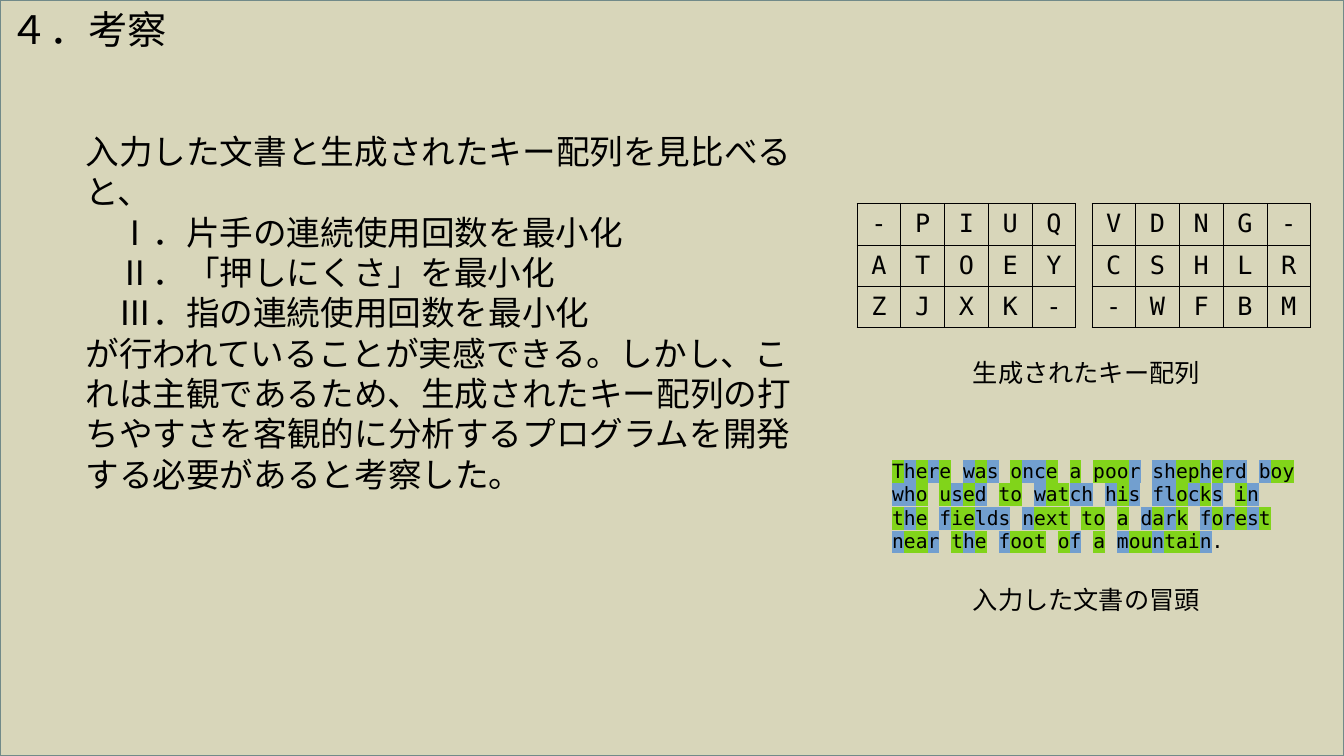
from itertools import groupby

from lxml import etree
from pptx import Presentation
from pptx.dml.color import RGBColor
from pptx.enum.shapes import MSO_SHAPE
from pptx.enum.text import MSO_ANCHOR, PP_ALIGN
from pptx.oxml.ns import qn
from pptx.util import Inches, Pt

RECTANGLE = MSO_SHAPE.RECTANGLE
TOP, MIDDLE = MSO_ANCHOR.TOP, MSO_ANCHOR.MIDDLE
LEFT, CENTER = PP_ALIGN.LEFT, PP_ALIGN.CENTER

LEFT_KEYS = ["-PIUQ", "ATOEY", "ZJXK-"]
RIGHT_KEYS = ["VDNG-", "CSHLR", "-WFBM"]
BODY = [
    ("入力した文書と生成されたキー配列を見比べると、", 0),
    ("Ⅰ．片手の連続使用回数を最小化", 0.33),
    ("Ⅱ．「押しにくさ」を最小化", 0.33),
    ("Ⅲ．指の連続使用回数を最小化", 0.33),
    ("が行われていることが実感できる。しかし、これは主観であるため、"
     "生成されたキー配列の打ちやすさを客観的に分析するプログラムを"
     "開発する必要があると考察した。", 0),
]
SAMPLE = ("There was once a poor shepherd boy who used to watch his flocks in "
          "the fields next to a dark forest near the foot of a mountain.")


def color(value):
    return RGBColor.from_string(value)


class SlideBuilder:
    ink = "000000"
    background = "D8D6BA"
    frame_line = "718A89"
    left_hand = "81D41A"
    right_hand = "729FCF"
    mono = "DejaVu Sans Mono"
    japanese = "Noto Sans CJK JP"

    def __init__(self, page):
        self.page = page
        page.background.fill.solid()
        page.background.fill.fore_color.rgb = color(self.background)

    def style(self, para, size, font, align=LEFT):
        para.alignment = align
        para.font.size = Pt(size)
        para.font.name = font
        para.font.color.rgb = color(self.ink)

    def title_frame(self, text, width, height):
        """Outline the whole page and put the heading in its top left corner."""
        box = self.page.shapes.add_shape(RECTANGLE, 0, 0, width, height)
        box.shadow.inherit = False
        box.fill.background()
        box.line.color.rgb = color(self.frame_line)
        box.line.width = Pt(1)
        box.text_frame.vertical_anchor = TOP
        para = box.text_frame.paragraphs[0]
        para.text = text
        self.style(para, 28, "Calibri")

    def text_box(self, left, top, width, height, wrap=True):
        box = self.page.shapes.add_textbox(
            Inches(left), Inches(top), Inches(width), Inches(height))
        box.text_frame.word_wrap = wrap
        return box.text_frame

    def body(self, lines, *place):
        frame = self.text_box(*place)
        for index, (text, indent) in enumerate(lines):
            para = frame.add_paragraph() if index else frame.paragraphs[0]
            para.text = text
            self.style(para, 24, self.japanese)
            properties = para._p.get_or_add_pPr()
            properties.set("marL", str(Inches(indent)))
            east_asian = etree.SubElement(properties.find(qn("a:defRPr")), qn("a:ea"))
            east_asian.set("typeface", self.japanese)

    def caption(self, text, top):
        para = self.text_box(9.55, top, 2.45, 0.46, wrap=False).paragraphs[0]
        para.text = text
        self.style(para, 18, "Arial")

    def key_table(self, rows, left, top, width=2.17, height=1.23):
        table = self.page.shapes.add_table(
            len(rows), len(rows[0]), Inches(left), Inches(top),
            Inches(width), Inches(height)).table
        table.first_row = table.horz_banding = False
        for row_index, keys in enumerate(rows):
            for column_index, key in enumerate(keys):
                cell = table.cell(row_index, column_index)
                cell.margin_left = cell.margin_right = Inches(0.04)
                cell.vertical_anchor = MIDDLE
                cell.fill.background()
                self.cell_borders(cell)
                para = cell.text_frame.paragraphs[0]
                para.text = key
                self.style(para, 18, self.mono, CENTER)

    def cell_borders(self, cell):
        properties = cell._tc.get_or_add_tcPr()
        for index, side in enumerate(("lnL", "lnR", "lnT", "lnB")):
            line = etree.Element(qn(f"a:{side}"), w=str(Pt(0.57)))
            fill = etree.SubElement(line, qn("a:solidFill"))
            etree.SubElement(fill, qn("a:srgbClr"), val=self.ink)
            properties.insert(index, line)

    def hand_color(self, letter):
        """Give the highlight of the hand that types the letter, if any."""
        if not letter.isalpha():
            return None
        typed_left = letter.upper() in "".join(LEFT_KEYS)
        return self.left_hand if typed_left else self.right_hand

    def hand_sample(self, text, *place):
        para = self.text_box(*place).paragraphs[0]
        self.style(para, 14, self.mono)
        for highlight, letters in groupby(text, self.hand_color):
            span = para.add_run()
            span.text = "".join(letters)
            if highlight:
                mark = etree.SubElement(span._r.get_or_add_rPr(), qn("a:highlight"))
                etree.SubElement(mark, qn("a:srgbClr"), val=highlight)


def main():
    deck = Presentation()
    deck.slide_width, deck.slide_height = Inches(13.33), Inches(7.5)
    builder = SlideBuilder(deck.slides.add_slide(deck.slide_layouts[6]))
    builder.title_frame("４．考察", deck.slide_width, deck.slide_height)
    builder.body(BODY, 0.75, 1.25, 7.25, 5.9)
    builder.key_table(LEFT_KEYS, 8.5, 2.02)
    builder.key_table(RIGHT_KEYS, 10.83, 2.02)
    builder.caption("生成されたキー配列", 3.5)
    builder.hand_sample(SAMPLE, 8.75, 4.5, 4.25, 1.13)
    builder.caption("入力した文書の冒頭", 5.75)
    deck.save("out.pptx")


if __name__ == "__main__":
    main()
